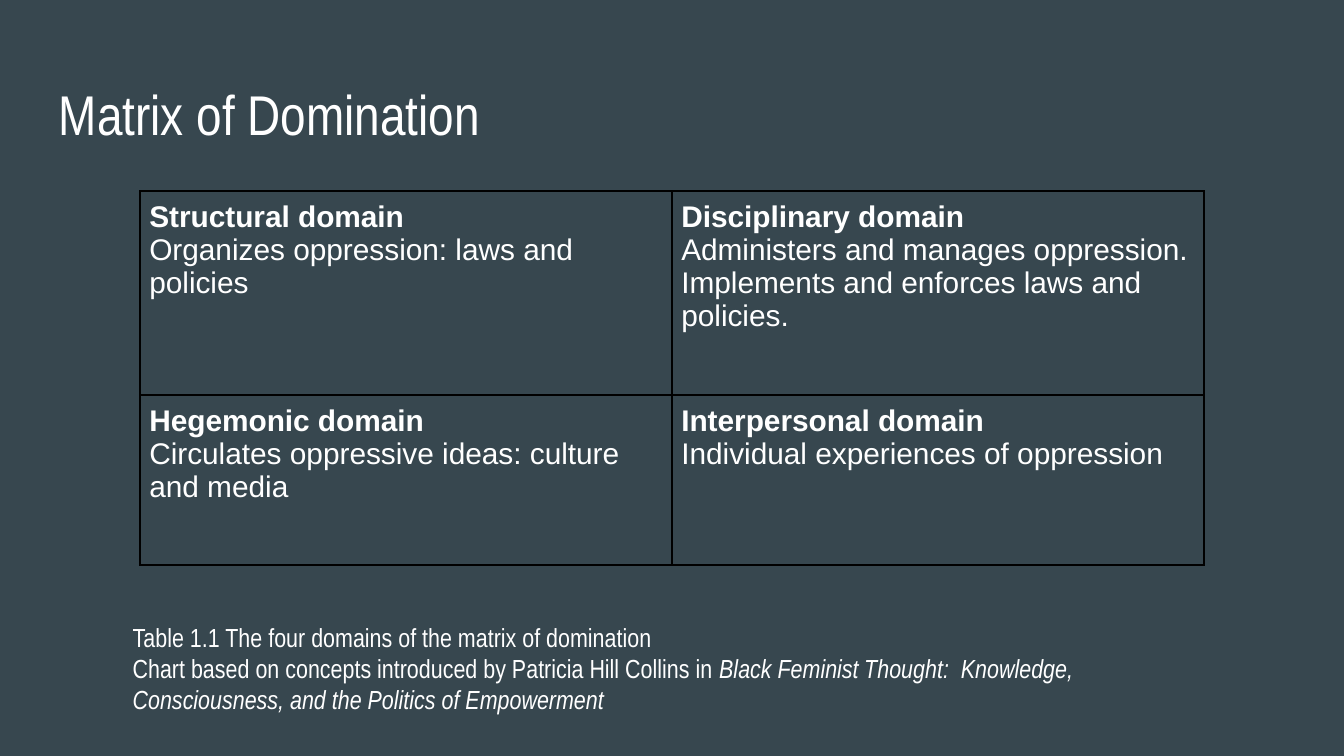
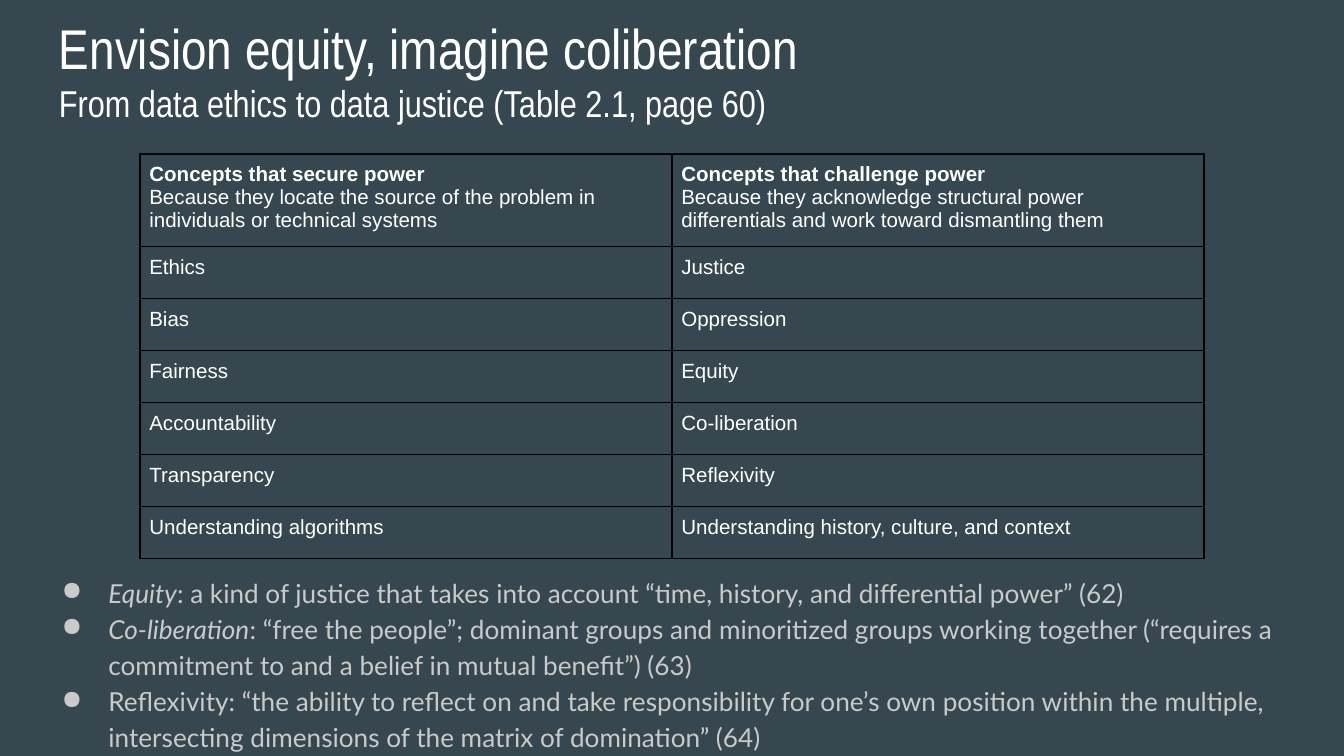
from dataclasses import dataclass

import pptx
import pptx.dml.color
import pptx.enum.text
import pptx.oxml
import pptx.oxml.ns
import pptx.util

Pt = pptx.util.Pt
RGBColor = pptx.dml.color.RGBColor


@dataclass(frozen=True)
class Theme:
    background: str = "37474F"
    text: str = "FFFFFF"
    muted: str = "CACACA"
    border: str = "000000"
    title_font: str = "Arial Narrow"
    table_font: str = "Arial"
    list_font: str = "Lato"
    title_size: float = 30
    subtitle_size: float = 20
    domain_size: float = 16
    concept_size: float = 11
    note_size: float = 14
    border_width: float = 1
    box_inset: float = 7.2
    cell_inset: float = 5
    list_indent: float = 36
    bullet_offset: float = 25
    list_spacing: float = 1.15


THEME = Theme()


@dataclass(frozen=True)
class Style:
    font: str
    size: float
    color: str = THEME.text


@dataclass(frozen=True)
class Run:
    text: str
    style: Style
    bold: bool = False
    italic: bool = False


@dataclass(frozen=True)
class Box:
    left: float
    top: float
    width: float
    height: float


Line = list[Run]

TITLE = Style(THEME.title_font, THEME.title_size)
SUBTITLE = Style(THEME.title_font, THEME.subtitle_size)
CAPTION = Style(THEME.title_font, THEME.note_size)
DOMAIN = Style(THEME.table_font, THEME.domain_size)
CONCEPT = Style(THEME.table_font, THEME.concept_size)
DEFINITION = Style(THEME.list_font, THEME.note_size, THEME.muted)

TITLE_LEFT, TITLE_WIDTH = 24.5, 671
TABLE_LEFT, COLUMN_WIDTH = 75, 285

DOMAINS = [
    [
        ("Structural domain", "Organizes oppression: laws and policies"),
        ("Disciplinary domain", "Administers and manages oppression. "
         "Implements and enforces laws and policies."),
    ],
    [
        ("Hegemonic domain", "Circulates oppressive ideas: culture and media"),
        ("Interpersonal domain", "Individual experiences of oppression"),
    ],
]

CONCEPT_HEADERS = [
    ("Concepts that secure power",
     "Because they locate the source of the problem in individuals or technical systems"),
    ("Concepts that challenge power",
     "Because they acknowledge structural power differentials and work toward dismantling them"),
]

CONCEPT_PAIRS = [
    ("Ethics", "Justice"),
    ("Bias", "Oppression"),
    ("Fairness", "Equity"),
    ("Accountability", "Co-liberation"),
    ("Transparency", "Reflexivity"),
    ("Understanding algorithms", "Understanding history, culture, and context"),
]

DEFINITIONS = [
    [
        Run("Equity", DEFINITION, italic=True),
        Run(": a kind of justice that takes into account “time, history, "
            "and differential power” (62)", DEFINITION),
    ],
    [
        Run("Co-liberation", DEFINITION, italic=True),
        Run(": “free the people”; dominant groups and minoritized groups working together "
            "(“requires a commitment to and a belief in mutual benefit”) (63)", DEFINITION),
    ],
    [
        Run("Reflexivity: “the ability to reflect on and take responsibility for one’s own "
            "position within the multiple, intersecting dimensions of the matrix of "
            "domination” (64)", DEFINITION),
    ],
]


def write_lines(text_frame, lines: list[Line]) -> None:
    for index, line in enumerate(lines):
        paragraph = text_frame.add_paragraph() if index else text_frame.paragraphs[0]
        for item in line:
            run = paragraph.add_run()
            run.text = item.text
            run.font.name = item.style.font
            run.font.size = Pt(item.style.size)
            run.font.color.rgb = RGBColor.from_string(item.style.color)
            run.font.bold = item.bold
            run.font.italic = item.italic


def set_margins(target, inset: float) -> None:
    target.margin_left = target.margin_right = Pt(inset)
    target.margin_top = target.margin_bottom = Pt(inset)


def add_text(slide, box: Box, lines: list[Line]):
    shape = slide.shapes.add_textbox(Pt(box.left), Pt(box.top), Pt(box.width), Pt(box.height))
    text_frame = shape.text_frame
    text_frame.word_wrap = True
    text_frame.vertical_anchor = pptx.enum.text.MSO_ANCHOR.TOP
    set_margins(text_frame, THEME.box_inset)
    write_lines(text_frame, lines)
    return text_frame


def add_title(slide, top: float, height: float, lines: list[Line]) -> None:
    add_text(slide, Box(TITLE_LEFT, top, TITLE_WIDTH, height), lines)


def add_bullets(text_frame) -> None:
    namespace = pptx.oxml.ns.nsdecls("a")
    for paragraph in text_frame.paragraphs:
        paragraph.line_spacing = THEME.list_spacing
        properties = paragraph._p.get_or_add_pPr()
        properties.set("marL", str(Pt(THEME.list_indent)))
        properties.set("indent", str(-Pt(THEME.bullet_offset)))
        for markup in (
            f'<a:buClr {namespace}><a:srgbClr val="{THEME.muted}"/></a:buClr>',
            f'<a:buChar {namespace} char="●"/>',
        ):
            properties.append(pptx.oxml.parse_xml(markup))


def style_cell(cell) -> None:
    set_margins(cell, THEME.cell_inset)
    properties = cell._tc.get_or_add_tcPr()
    for side in ("lnL", "lnR", "lnT", "lnB"):
        properties.append(pptx.oxml.parse_xml(
            f'<a:{side} {pptx.oxml.ns.nsdecls("a")} w="{Pt(THEME.border_width)}">'
            f'<a:solidFill><a:srgbClr val="{THEME.border}"/></a:solidFill></a:{side}>'
        ))
    cell.fill.background()


def add_table(slide, top: float, heights: list[float], rows: list[list[list[Line]]]) -> None:
    columns = len(rows[0])
    table = slide.shapes.add_table(
        len(rows), columns, Pt(TABLE_LEFT), Pt(top),
        Pt(COLUMN_WIDTH * columns), Pt(sum(heights)),
    ).table
    table.first_row = False
    table.horz_banding = False
    for column in table.columns:
        column.width = Pt(COLUMN_WIDTH)
    for row_index, (height, row) in enumerate(zip(heights, rows)):
        table.rows[row_index].height = Pt(height)
        for column_index, lines in enumerate(row):
            cell = table.cell(row_index, column_index)
            style_cell(cell)
            write_lines(cell.text_frame, lines)


def headed(heading: str, body: str, style: Style) -> list[Line]:
    return [[Run(heading, style, bold=True)], [Run(body, style)]]


def add_slide(presentation):
    slide = presentation.slides.add_slide(presentation.slide_layouts[6])
    slide.background.fill.solid()
    slide.background.fill.fore_color.rgb = RGBColor.from_string(THEME.background)
    return slide


def build_matrix_slide(presentation) -> None:
    slide = add_slide(presentation)
    add_title(slide, 35.3, 45, [[Run("Matrix of Domination", TITLE)]])
    rows = [[headed(*domain, DOMAIN) for domain in row] for row in DOMAINS]
    add_table(slide, 102.3, [109.4, 91], rows)
    add_text(slide, Box(64, 325.5, 581, 69), [
        [Run("Table 1.1 The four domains of the matrix of domination", CAPTION)],
        [
            Run("Chart based on concepts introduced by Patricia Hill Collins in ", CAPTION),
            Run("Black Feminist Thought:  Knowledge, Consciousness, "
                "and the Politics of Empowerment", CAPTION, italic=True),
        ],
    ])


def build_equity_slide(presentation) -> None:
    slide = add_slide(presentation)
    add_title(slide, 0, 80, [
        [Run("Envision equity, imagine coliberation", TITLE)],
        [Run("From data ethics to data justice (Table 2.1, page 60)", SUBTITLE)],
    ])
    rows = [[headed(*header, CONCEPT) for header in CONCEPT_HEADERS]]
    rows += [[[[Run(concept, CONCEPT)]] for concept in pair] for pair in CONCEPT_PAIRS]
    add_table(slide, 82.5, [48.8] + [27.85] * len(CONCEPT_PAIRS), rows)
    add_bullets(add_text(slide, Box(15, 299.5, 683.5, 92), DEFINITIONS))


def main() -> None:
    presentation = pptx.Presentation()
    presentation.slide_width = Pt(720)
    presentation.slide_height = Pt(405)
    build_matrix_slide(presentation)
    build_equity_slide(presentation)
    presentation.save("out.pptx")


if __name__ == "__main__":
    main()
